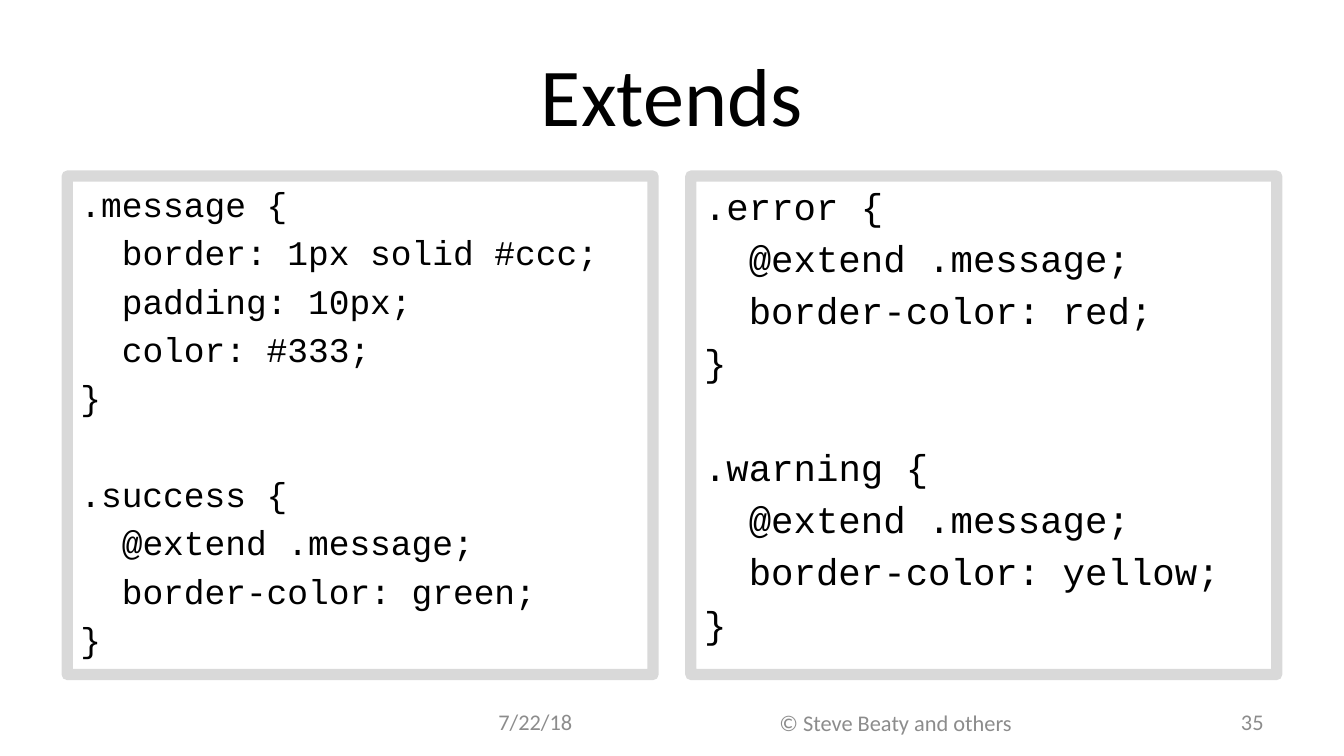
import lxml.etree
import pptx
import pptx.dml.color
import pptx.enum.shapes
import pptx.enum.text
import pptx.oxml.ns
import pptx.util
from dataclasses import dataclass
from pptx.util import Inches

ALIGN = pptx.enum.text.PP_ALIGN
ANCHOR = pptx.enum.text.MSO_ANCHOR


@dataclass(frozen=True)
class Theme:
    text_font: str = "Calibri"
    code_font: str = "Courier New"
    ink: str = "000000"
    muted: str = "8C8C8C"
    title_size: float = 44
    left_code_size: float = 18.5
    right_code_size: float = 20
    footer_size: float = 12
    border_width: float = 6
    border_alpha: int = 15  # percent


def add_xml(parent, tag, **attributes):
    return lxml.etree.SubElement(parent, pptx.oxml.ns.qn(tag), attributes)


class SlideBuilder:
    def __init__(self, prs, theme):
        self.theme = theme
        self.s = prs.slides.add_slide(prs.slide_layouts[6])

    def style(self, p, font, size, color):
        p.font.name = font
        p.font.size = pptx.util.Pt(size)
        p.font.color.rgb = pptx.dml.color.RGBColor.from_string(color)

    def label(self, text, box, size, color, align):
        sp = self.s.shapes.add_textbox(*map(Inches, box))
        tf = sp.text_frame
        tf.word_wrap = True
        tf.vertical_anchor = ANCHOR.MIDDLE
        p = tf.paragraphs[0]
        p.text = text
        p.alignment = align
        self.style(p, self.theme.text_font, size, color)

    def border(self, sp):
        """Give the shape a translucent outline with round corners."""
        line = sp.line
        line.width = pptx.util.Pt(self.theme.border_width)
        line.color.rgb = pptx.dml.color.RGBColor.from_string(self.theme.ink)
        ln = sp._element.spPr.find(pptx.oxml.ns.qn("a:ln"))
        color = ln.find(".//" + pptx.oxml.ns.qn("a:srgbClr"))
        add_xml(color, "a:alpha", val=str(self.theme.border_alpha * 1000))
        add_xml(ln, "a:round")

    def code(self, rules, box, size):
        """Draw framed style rules, each a selector with its declarations."""
        sp = self.s.shapes.add_shape(
            pptx.enum.shapes.MSO_SHAPE.RECTANGLE, *map(Inches, box))
        sp.shadow.inherit = False
        sp.fill.background()
        self.border(sp)
        tf = sp.text_frame
        tf.word_wrap = True
        tf.vertical_anchor = ANCHOR.TOP
        gap = 0.2 * size
        line_pitch = 1.2 * size + gap
        indent = pptx.util.Pt(2 * 0.6 * size)  # two monospaced characters
        p = None
        for selector, declarations in rules:
            opening = selector + " {"
            for text in [opening, *declarations, "}"]:
                first = p is None
                p = tf.paragraphs[0] if first else tf.add_paragraph()
                p.text = text
                p.alignment = ALIGN.LEFT
                starts_later_rule = text == opening and not first
                p.space_before = pptx.util.Pt(
                    gap + line_pitch if starts_later_rule else gap)
                if text in declarations:
                    p._p.get_or_add_pPr().set("marL", str(indent))
                self.style(p, self.theme.code_font, size, self.theme.ink)


def main():
    prs = pptx.Presentation()
    prs.slide_width = Inches(10)
    prs.slide_height = prs.slide_width * 9 // 16
    theme = Theme()
    slide = SlideBuilder(prs, theme)

    slide.label("Extends", (0.5, 0.23, 9, 0.94), theme.title_size,
                theme.ink, ALIGN.CENTER)

    extend = "@extend .message;"
    slide.code([
        (".message", ["border: 1px solid #ccc;", "padding: 10px;",
                      "color: #333;"]),
        (".success", [extend, "border-color: green;"]),
    ], (0.5, 1.31, 4.36, 3.71), theme.left_code_size)

    for text, box, align in [
        ("7/22/18", (3.61, 5.17, 0.96, 0.4), ALIGN.LEFT),
        ("© Steve Beaty and others", (4.86, 5.18, 3.61, 0.4), ALIGN.CENTER),
        ("35", (8.78, 5.17, 0.72, 0.4), ALIGN.RIGHT),
    ]:
        slide.label(text, box, theme.footer_size, theme.muted, align)

    slide.code([
        (".error", [extend, "border-color: red;"]),
        (".warning", [extend, "border-color: yellow;"]),
    ], (5.14, 1.31, 4.36, 3.71), theme.right_code_size)

    prs.save("out.pptx")


if __name__ == "__main__":
    main()
